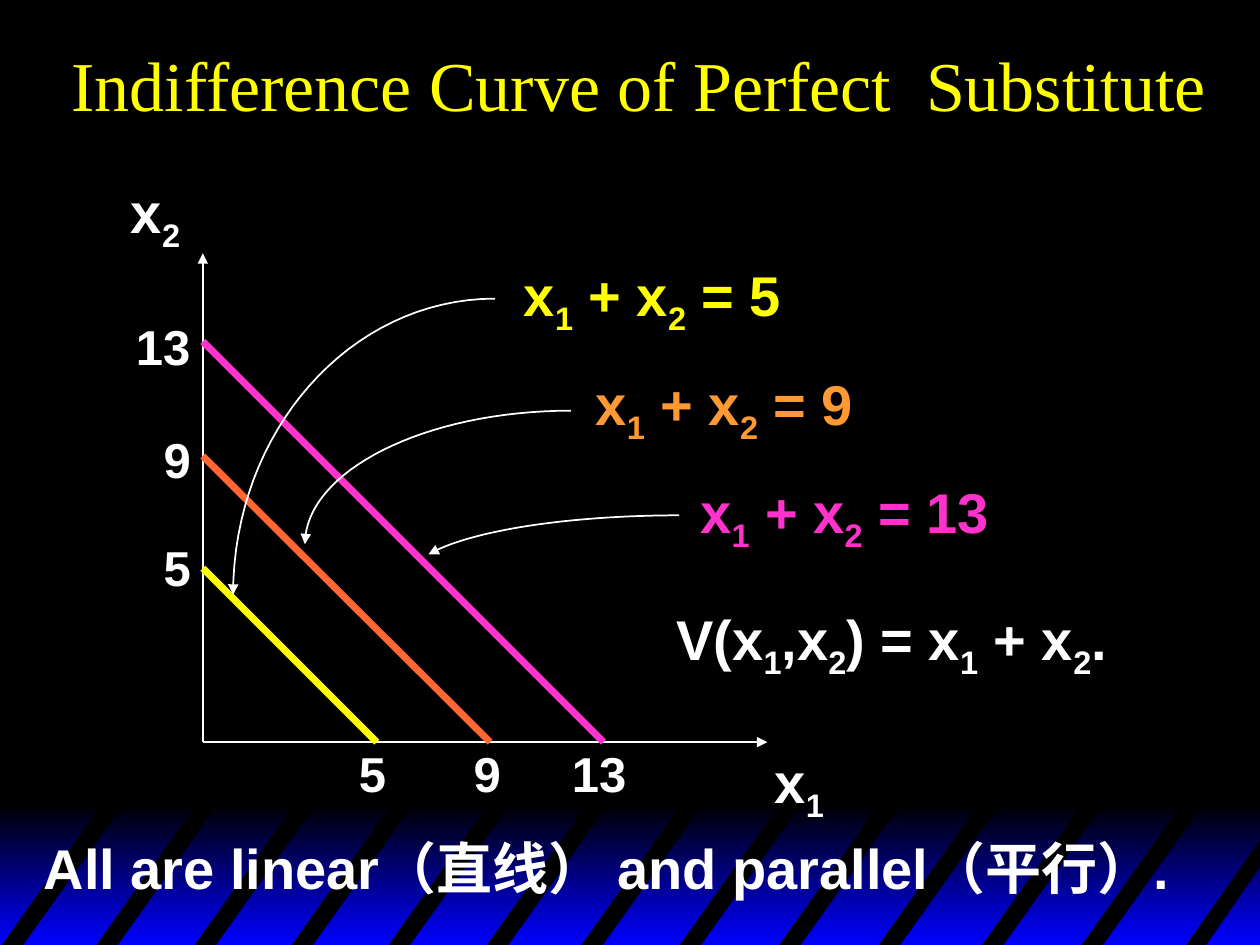
"""Build a slide on the indifference curves of perfect substitutes."""
from typing import NamedTuple

import pptx
import pptx.dml.color
import pptx.enum.shapes
import pptx.enum.text
import pptx.oxml
import pptx.oxml.ns
import pptx.util

Inches = pptx.util.Inches
Point = tuple[float, float]
WHITE, YELLOW, PINK = "FFFFFF", "FFFF00", "FF33CC"
LEFT, BASE = 1.61, 5.89


class Label(NamedTuple):
    text: str
    left: float
    top: float
    width: float
    height: float = 0.71
    size: int = 32
    color: str = WHITE


class Line(NamedTuple):
    start: Point
    end: Point
    color: str = WHITE
    width: float = 1
    arrow: str = ""


class Curve(NamedTuple):
    start: Point
    pull: Point
    bend: Point
    end: Point


LABELS = [
    Label("x_1", 6.05, 5.88, 0.59),
    Label("x_2", 0.94, 1.36, 0.59),
    Label("x_1 + x_2 = 5", 4.06, 2.02, 2.25, color=YELLOW),
    Label("x_1 + x_2 = 9", 4.63, 2.88, 2.25, color="FF9933"),
    Label("x_1 + x_2 = 13", 5.46, 3.74, 2.49, color=PINK),
    Label("All are linear（直线） and parallel（平行）.", 0.25, 6.57, 9.56, 0.63),
    Label("V(x_1,x_2) = x_1 + x_2.", 5.27, 4.75, 3.7),
]
TICKS = [
    ("5", 2.75, 1.2, 4.22, 0.42),
    ("9", 3.66, 1.2, 3.36, 0.42),
    ("13", 4.44, 0.98, 2.46, 0.63),
]
for text, across, left, top, width in TICKS:
    LABELS.append(Label(text, across, 5.85, width, 0.57, 28))
    LABELS.append(Label(text, left, top, width, 0.57, 28))

LINES = [
    Line((LEFT, BASE), (LEFT, 2.01), arrow="tailEnd"),
    Line((LEFT, BASE), (6.09, BASE), arrow="tailEnd"),
    Line((LEFT, 4.51), (2.99, BASE), YELLOW, 4),
    Line((LEFT, 3.62), (3.89, BASE), "FF6633", 4),
    Line((LEFT, 2.71), (4.79, BASE), PINK, 4),
]
CURVES = [
    Curve((1.85, 4.72), (1.85, 3.42), (2.78, 2.37), (3.93, 2.37)),
    Curve((2.42, 4.32), (2.42, 3.74), (3.37, 3.26), (4.53, 3.26)),
    Curve((3.4, 4.4), (3.73, 4.21), (4.52, 4.09), (5.39, 4.09)),
]
STRIPES = [0, 0.75, 1.53, 2.3, 3.07, 3.85, 4.6, 5.38, 6.17, 6.96, 7.78, 8.57]


def paint(target, color: str) -> None:
    """Set a colour format from a hex string."""
    target.rgb = pptx.dml.color.RGBColor.from_string(color)


def style(font, name: str, size: int, color: str, bold: bool) -> None:
    """Set the look of a font."""
    font.name, font.size, font.bold = name, pptx.util.Pt(size), bold
    paint(font.color, color)


def stroke(line, color: str, width: float, arrow: str = "") -> None:
    """Set line colour and width, with an arrowhead at the named end."""
    fill = line.fill
    fill.solid()
    paint(fill.fore_color, color)
    line.width = pptx.util.Pt(width)
    if arrow:
        ns = pptx.oxml.ns.nsdecls("a")
        head = pptx.oxml.parse_xml(f'<a:{arrow} {ns} type="triangle"/>')
        fill._xPr.append(head)


def draw_path(shapes, points: list[Point], close: bool):
    """Draw a freeform through points given in inches."""
    first, *rest = [(Inches(x), Inches(y)) for x, y in points]
    pen = shapes.build_freeform(*first)
    pen.add_line_segments(rest, close=close)
    shape = pen.convert_to_shape()
    shape.shadow.inherit = False
    return shape


def draw_stripe(shapes, points: list[Point]) -> None:
    """Draw one black slanted stripe."""
    shape = draw_path(shapes, points, True)
    shape.fill.solid()
    paint(shape.fill.fore_color, "000000")
    shape.line.fill.background()


def draw_band(shapes) -> None:
    """Draw the striped blue band along the foot."""
    kind = pptx.enum.shapes.MSO_SHAPE.RECTANGLE
    band = shapes.add_shape(kind, 0, Inches(6.38), Inches(10.02), Inches(1.12))
    band.shadow.inherit = False
    band.line.fill.background()
    band.fill.gradient()
    band.fill.gradient_angle = 270
    for stop, color in zip(band.fill.gradient_stops, ("000000", "0000FF")):
        paint(stop.color, color)
    for x in STRIPES:
        draw_stripe(shapes, [(x, 7.52), (x + 0.84, 6.34), (x + 1.01, 6.34), (x + 0.17, 7.52)])
    draw_stripe(shapes, [(9.4, 7.52), (10.02, 6.64), (10.02, 6.85), (9.56, 7.52)])


def draw_line(shapes, line: Line) -> None:
    """Draw a straight line."""
    kind = pptx.enum.shapes.MSO_CONNECTOR.STRAIGHT
    ends = [Inches(n) for n in line.start + line.end]
    shape = shapes.add_connector(kind, *ends)
    stroke(shape.line, line.color, line.width, line.arrow)
    ns = pptx.oxml.ns.nsdecls("a")
    shape._element.spPr.append(pptx.oxml.parse_xml(f"<a:effectLst {ns}/>"))


def draw_curve(shapes, curve: Curve, steps: int = 32) -> None:
    """Draw a cubic curve with an arrowhead at its start."""
    points = []
    for step in range(steps + 1):
        t = step / steps
        parts = ((1 - t) ** 3, 3 * t * (1 - t) ** 2, 3 * t * t * (1 - t), t**3)
        x, y = (sum(p * n for p, n in zip(parts, axis)) for axis in zip(*curve))
        points.append((x, y))
    shape = draw_path(shapes, points, False)
    shape.fill.background()
    stroke(shape.line, WHITE, 1, "headEnd")


def draw_label(shapes, label: Label) -> None:
    """Draw text in which an underscore lowers the next character."""
    box = shapes.add_textbox(*(Inches(n) for n in label[1:5]))
    frame = box.text_frame
    frame.word_wrap = False
    frame.auto_size = pptx.enum.text.MSO_AUTO_SIZE.SHAPE_TO_FIT_TEXT
    para = frame.paragraphs[0]
    style(para.font, "Arial", label.size, label.color, True)
    first, *rest = label.text.split("_")
    para.add_run().text = first
    for part in rest:
        low = para.add_run()
        low.text = part[0]
        low.font._element.set("baseline", "-25000")
        if part[1:]:
            para.add_run().text = part[1:]


def draw_title(title) -> None:
    """Place and fill the title."""
    title.left, title.top = Inches(0.29), 0
    title.width, title.height = Inches(9.56), Inches(1.33)
    frame = title.text_frame
    frame.text = "Indifference Curve of Perfect  Substitute"
    frame.word_wrap = True
    frame.vertical_anchor = pptx.enum.text.MSO_ANCHOR.MIDDLE
    para = frame.paragraphs[0]
    para.alignment = pptx.enum.text.PP_ALIGN.CENTER
    style(para.font, "Times New Roman", 40, YELLOW, False)


def main() -> None:
    """Build and save the slide."""
    deck = pptx.Presentation()
    deck.slide_width, deck.slide_height = Inches(10), Inches(7.5)
    slide = deck.slides.add_slide(deck.slide_layouts[5])
    slide.background.fill.solid()
    paint(slide.background.fill.fore_color, "000000")
    shapes = slide.shapes
    draw_title(shapes.title)
    draw_band(shapes)
    for line in LINES:
        draw_line(shapes, line)
    for curve in CURVES:
        draw_curve(shapes, curve)
    for label in LABELS:
        draw_label(shapes, label)
    deck.save("out.pptx")


if __name__ == "__main__":
    main()
